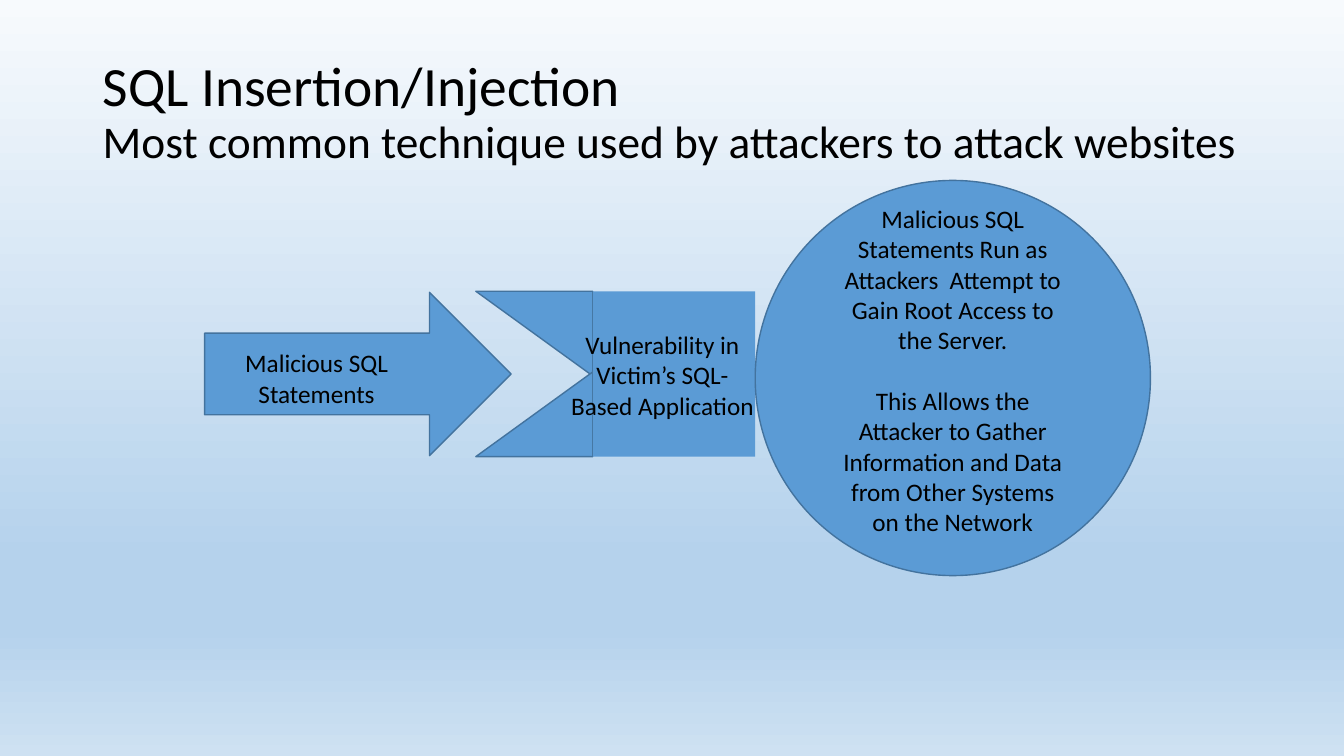
from lxml import etree
from pptx import Presentation
from pptx.dml.color import RGBColor
from pptx.enum.shapes import MSO_SHAPE as Preset
from pptx.enum.text import MSO_ANCHOR as Anchor, MSO_AUTO_SIZE as AutoSize, PP_ALIGN as Align
from pptx.oxml.ns import qn
from pptx.util import Inches, Pt

COLORS = {"fill": "5B9BD5", "line": "43739E", "text": "000000"}
SKY_STOPS = [(0, "F7FAFD"), (74, "B5D2EC"), (83, "B5D2EC"), (100, "CEE1F2")]
FONT = "Calibri"


def color(name):
    return RGBColor.from_string(COLORS[name])


def paint_background(page):
    """Fill the page with the sky gradient, running from top to bottom."""
    fill = page.background.fill
    fill.gradient()
    fill.gradient_angle = 270
    stops = page.element.find(".//" + qn("a:gsLst"))
    for stop in list(stops):
        stops.remove(stop)
    for percent, tone in SKY_STOPS:
        stop = etree.SubElement(stops, qn("a:gs"), pos=str(percent * 1000))
        etree.SubElement(stop, qn("a:srgbClr"), val=tone)


def add_block(group, preset, place, outlined=True, flips=()):
    block = group.shapes.add_shape(preset, *map(Inches, place))
    block.shadow.inherit = False
    block.fill.solid()
    block.fill.fore_color.rgb = color("fill")
    if outlined:
        block.line.color.rgb = color("line")
        block.line.width = Pt(1)
    else:
        block.line.fill.background()
    for flip in flips:
        block.element.spPr.find(qn("a:xfrm")).set(flip, "1")


def style_font(font, size):
    font.name = FONT
    font.size = Pt(size)
    font.color.rgb = color("text")


def add_label(group, place, paragraphs):
    box = group.shapes.add_textbox(*map(Inches, place))
    frame = box.text_frame
    frame.word_wrap = True
    frame.auto_size = AutoSize.SHAPE_TO_FIT_TEXT
    for index, words in enumerate(paragraphs):
        para = frame.add_paragraph() if index else frame.paragraphs[0]
        para.text = words
        para.alignment = Align.CENTER
        if index:
            para.space_before = Pt(22)
        style_font(para.font, 18)


def add_title(page, place, lines):
    """Add a title whose lines, given as (words, size), share one paragraph."""
    box = page.shapes.add_textbox(*map(Inches, place))
    frame = box.text_frame
    frame.word_wrap = True
    frame.vertical_anchor = Anchor.MIDDLE
    para = frame.paragraphs[0]
    para.line_spacing = 0.9
    for index, (words, size) in enumerate(lines):
        if index:
            para.add_line_break()
        span = para.add_run()
        span.text = words
        style_font(span.font, size)


def main():
    deck = Presentation()
    deck.slide_width, deck.slide_height = Inches(13.33), Inches(7.5)
    page = deck.slides.add_slide(deck.slide_layouts[6])
    paint_background(page)

    add_title(page, (0.92, 0.4, 11.5, 1.45), [
        ("SQL Insertion/Injection", 39.6),
        ("Most common technique used by attackers to attack websites", 32.4),
    ])

    attack = page.shapes.add_group_shape()
    add_block(attack, Preset.RIGHT_ARROW, (2.03, 2.9, 3.04, 1.62))
    add_block(attack, Preset.RIGHT_TRIANGLE, (4.72, 2.89, 1.16, 0.84), flips=("flipH", "flipV"))
    add_block(attack, Preset.RIGHT_TRIANGLE, (4.72, 3.69, 1.16, 0.84), flips=("flipH",))
    add_block(attack, Preset.RECTANGLE, (5.88, 2.89, 1.61, 1.64), outlined=False)
    add_label(attack, (1.92, 3.4, 2.44, 0.71), ["Malicious SQL Statements"])
    add_label(attack, (5.35, 3.22, 2.44, 1.01),
              ["Vulnerability in Victim’s SQL-\vBased Application"])
    add_block(attack, Preset.OVAL, (7.49, 1.79, 3.92, 3.92))
    add_label(attack, (8.23, 1.97, 2.44, 3.43), [
        "Malicious SQL Statements Run as Attackers  Attempt to Gain Root Access to the Server.",
        "This Allows the Attacker to Gather Information and Data from Other Systems on the Network",
    ])

    deck.save("out.pptx")


if __name__ == "__main__":
    main()
